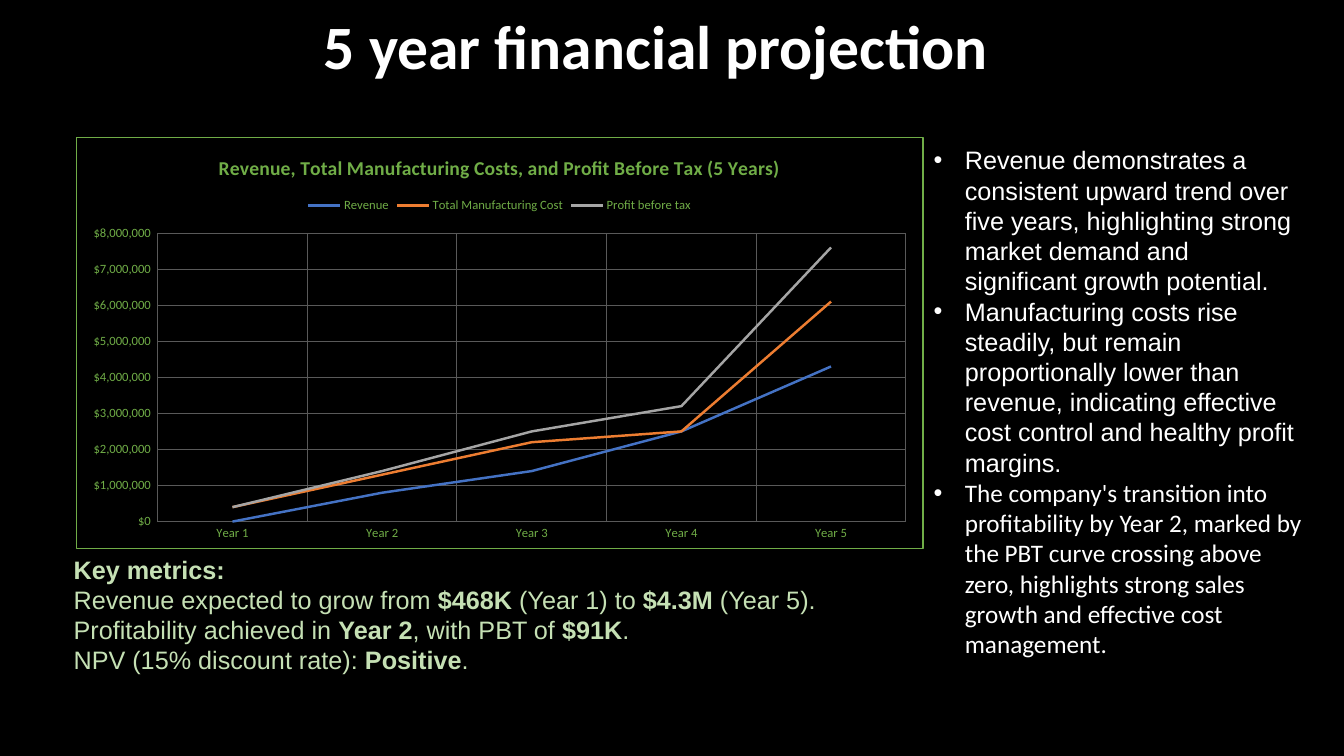
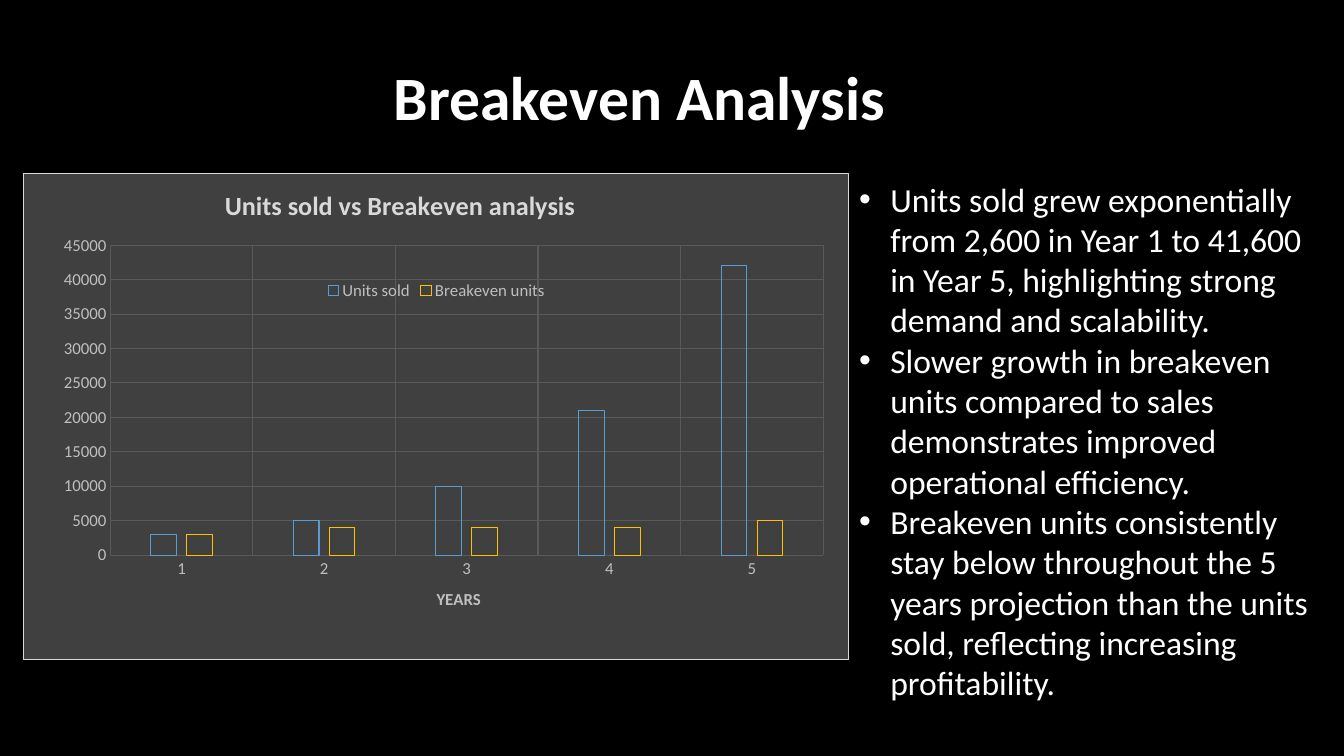
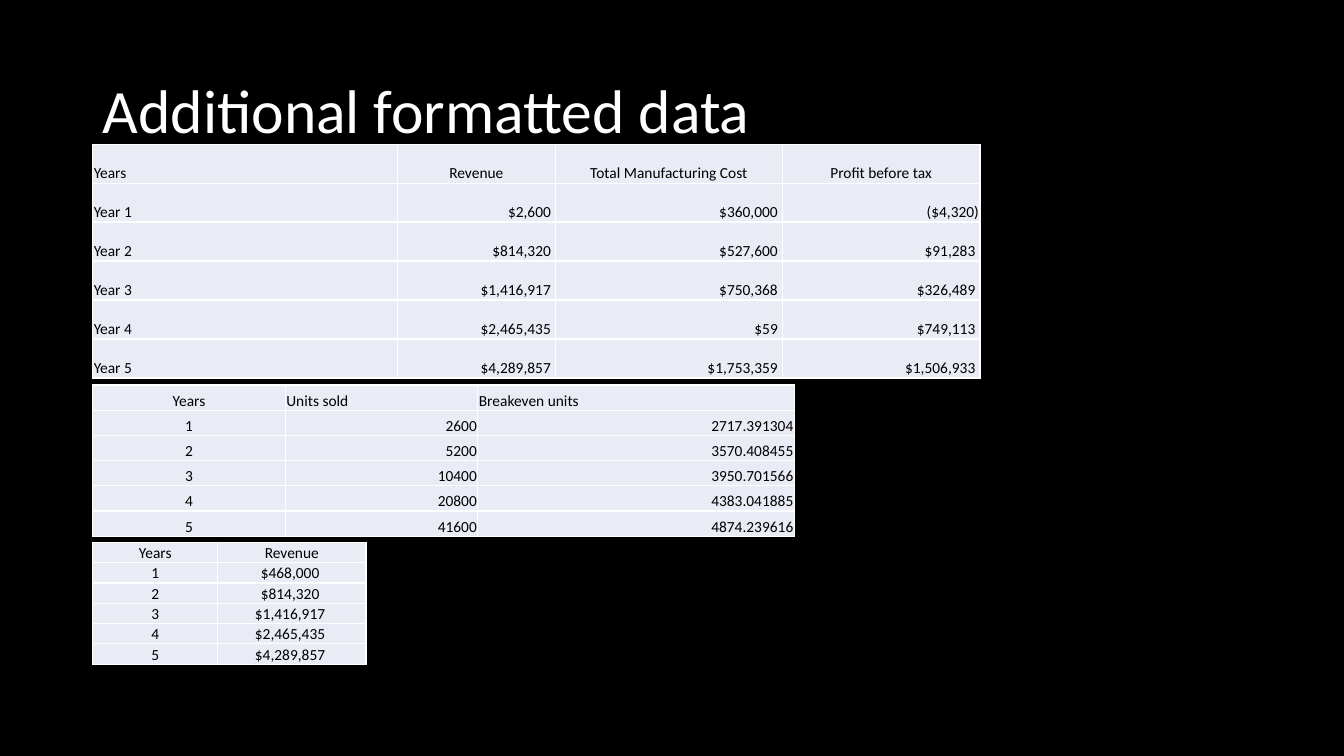
from lxml.etree import SubElement
from pptx import Presentation
from pptx.chart.data import CategoryChartData
from pptx.dml.color import RGBColor
from pptx.enum.chart import (XL_CHART_TYPE as Kind, XL_LEGEND_POSITION as Legend,
                             XL_MARKER_STYLE as Marker, XL_TICK_MARK as Tick)
from pptx.enum.text import MSO_ANCHOR as Anchor, MSO_AUTO_SIZE as Auto, PP_ALIGN as Align
from pptx.oxml import parse_xml
from pptx.oxml.ns import nsdecls, qn
from pptx.util import Inches, Pt

WHITE, BLACK, GREEN, MINT = "FFFFFF", "000000", "70AD47", "C5E0B4"
GRID, PANEL, PALE, SOFT, CELL = "595959", "404040", "D9D9D9", "BFBFBF", "E9EBF5"
SIDES = {"l": Align.LEFT, "c": Align.CENTER, "r": Align.RIGHT}

YEARS = ["1", "2", "3", "4", "5"]
NAMES = [f"Year {y}" for y in YEARS]
SALES = [2600, 814320, 1416917, 2465435, 4289857]
COSTS = [360000, 527600, 750368, 59, 1753359]
PROFIT = [-4320, 91283, 326489, 749113, 1506933]
UNITS = [2600, 5200, 10400, 20800, 41600]
EVEN = [2717.391304, 3570.408455, 3950.701566, 4383.041885, 4874.239616]

# Each paragraph is a list of (text, bold) runs.
METRICS = [
    [("Key metrics:", True)],
    [("Revenue expected to grow from ", False), ("$468K", True),
     (" (Year 1) to ", False), ("$4.3M", True), (" (Year 5).", False)],
    [("Profitability achieved in ", False), ("Year 2", True),
     (", with PBT of ", False), ("$91K", True), (".", False)],
    [("NPV (15% discount rate): ", False), ("Positive", True), (".", False)],
]
# Each point is (text, font).
TRENDS = [
    ("Revenue demonstrates a consistent upward trend over five years, highlighting "
     "strong market demand and significant growth potential.", "Arial"),
    ("Manufacturing costs rise steadily, but remain proportionally lower than revenue, "
     "indicating effective cost control and healthy profit margins.", "Arial"),
    ("The company's transition into profitability by Year 2, marked by the PBT curve "
     "crossing above zero, highlights strong sales growth and effective cost "
     "management.", "Calibri"),
]
BREAKS = [
    ("Units sold grew exponentially from 2,600 in Year 1 to 41,600 in Year 5, "
     "highlighting strong demand and scalability.", "Calibri"),
    ("Slower growth in breakeven units compared to sales demonstrates improved "
     "operational efficiency.", "Calibri"),
    ("Breakeven units consistently stay below throughout the 5 years projection than "
     "the units sold, reflecting increasing profitability.", "Calibri"),
]


def money(n):
    return f"${n:,} " if n >= 0 else f"(${-n:,})"


def rows(*cols):
    return list(zip(*cols))


TABLES = [
    dict(top=1.43, cols=[3.02, 1.57, 2.25, 1.96], high=2.32, head="lccc", body="lrrr",
         rows=[("Years", "Revenue", "Total Manufacturing Cost", "Profit before tax")]
         + rows(NAMES, *[map(money, c) for c in (SALES, COSTS, PROFIT)])),
    dict(top=3.82, cols=[1.91, 1.91, 3.14], high=1.5, head="cll", body="crr",
         rows=[("Years", "Units sold", "Breakeven units")]
         + rows(YEARS, map(str, UNITS), map(str, EVEN))),
    dict(top=5.38, cols=[1.24, 1.47], high=1.21, head="cc", body="cc",
         rows=[("Years", "Revenue")] + rows(YEARS, map(money, [468000] + SALES[1:]))),
]


def rgb(code):
    return RGBColor.from_string(code)


def style(font, size, color, bold=False, face="Calibri"):
    font.name, font.size, font.bold = face, Pt(size), bold
    font.color.rgb = rgb(color)


def move(shape, *at):
    shape.left, shape.top, shape.width, shape.height = map(Inches, at)


def add_slide(prs, layout, title, left, top, bold=True, shift=None):
    """Add a slide; a shift centres the title and moves it by a left inset."""
    slide = prs.slides.add_slide(prs.slide_layouts[layout])
    shape = slide.shapes.title
    move(shape, left, top, 11.5, 1.45)
    frame = shape.text_frame
    frame.auto_size, frame.vertical_anchor = Auto.NONE, Anchor.MIDDLE
    if shift:
        frame.margin_left = Inches(0.1 + shift)
    para = frame.paragraphs[0]
    para.alignment = Align.CENTER if shift else Align.LEFT
    para.line_spacing = 0.9
    run = para.add_run()
    run.text = title
    style(run.font, 44, WHITE, bold)
    return slide


def fill_body(shape, at, paras, size, color, anchor, bullets):
    """Write paragraphs of (text, bold, font) runs in a body placeholder."""
    move(shape, *at)
    frame = shape.text_frame
    frame.word_wrap, frame.vertical_anchor = True, anchor
    frame.auto_size = Auto.SHAPE_TO_FIT_TEXT
    for i, runs in enumerate(paras):
        para = frame.add_paragraph() if i else frame.paragraphs[0]
        para.space_before, para.line_spacing = Pt(0), 1.0
        props = para._p.get_or_add_pPr()
        hang = Inches(0.31) if bullets else 0
        props.set("marL", str(hang))
        props.set("indent", str(-hang))
        if bullets:
            SubElement(props, qn("a:buFont"), typeface="Arial")
            SubElement(props, qn("a:buChar"), char="•")
        else:
            SubElement(props, qn("a:buNone"))
        for text, bold, face in runs:
            run = para.add_run()
            run.text = text
            style(run.font, size, color, bold, face)


def add_list(shape, at, points, size, anchor):
    paras = [[(text, False, face)] for text, face in points]
    fill_body(shape, at, paras, size, WHITE, anchor, True)


def place(part, index, at, x, y, w=None, h=None):
    """Lay out a part of the chart at the given box, in inches from its corner."""
    for old in part.findall(qn("c:layout")):
        part.remove(old)
    tags = '<c:layoutTarget val="inner"/>' if w else ""
    tags += '<c:xMode val="edge"/><c:yMode val="edge"/>'
    for tag, val, full in zip("xywh", (x, y, w, h), at[2:] * 2):
        if val:
            tags += f'<c:{tag} val="{val / full:.4f}"/>'
    part.insert(index, parse_xml(
        f'<c:layout {nsdecls("c")}><c:manualLayout>{tags}</c:manualLayout></c:layout>'))


def write(title, text, size, color):
    run = title.text_frame.paragraphs[0].add_run()
    run.text = text
    style(run.font, size, color, True)


def add_chart(slide, kind, at, cats, series, digits, title, size, label, text, head,
              back, edge, plot):
    data = CategoryChartData()
    data.categories = cats
    for name, vals, _ in series:
        data.add_series(name, [int(round(v, digits)) for v in vals])
    chart = slide.shapes.add_chart(kind, *map(Inches, at), data).chart
    style(chart.font, 10, text)
    fill = f'<a:solidFill><a:srgbClr val="{back}"/></a:solidFill>'
    line = f'<a:ln w="9525"><a:solidFill><a:srgbClr val="{edge}"/></a:solidFill></a:ln>'
    chart._chartSpace.find(qn("c:txPr")).addprevious(parse_xml(
        f'<c:spPr {nsdecls("c", "a")}>{fill}{line}</c:spPr>'))
    chart.has_title = True
    write(chart.chart_title, title, size, head)
    chart.has_legend = True
    chart.legend.position = Legend.TOP
    chart.legend.include_in_layout = False
    style(chart.legend.font, label, text)
    for axis in (chart.category_axis, chart.value_axis):
        axis.major_tick_mark = axis.minor_tick_mark = Tick.NONE
        axis.has_major_gridlines = True
        grid = axis.major_gridlines.format.line
        grid.color.rgb, grid.width = rgb(GRID), Pt(0.75)
        axis.format.line.fill.background()
        style(axis.tick_labels.font, label, text)
    chart.plots[0].vary_by_categories = False
    for item, (_, _, color) in zip(chart.plots[0].series, series):
        item.format.line.color.rgb = rgb(color)
    place(chart._chartSpace.chart.plotArea, 0, at, *plot)
    return chart


def add_table(slide, top, cols, high, head, body, rows):
    shape = slide.shapes.add_table(len(rows), len(cols), Inches(0.92), Inches(top),
                                   Inches(sum(cols)), Inches(high))
    table = shape.table
    table.first_row = table.horz_banding = False
    for col, wide in zip(table.columns, cols):
        col.width = Inches(wide)
    for r, row in enumerate(rows):
        for c, text in enumerate(row):
            cell = table.cell(r, c)
            cell.margin_left = cell.margin_right = cell.margin_top = Inches(0.01)
            cell.margin_bottom = 0
            cell.vertical_anchor = Anchor.BOTTOM
            para = cell.text_frame.paragraphs[0]
            para.alignment = SIDES[(body if r else head)[c]]
            run = para.add_run()
            run.text = text
            style(run.font, 11, BLACK)
            props = cell._tc.get_or_add_tcPr()
            for side in ("lnL", "lnR", "lnT", "lnB"):
                line = SubElement(props, qn(f"a:{side}"), w=str(Pt(1)))
                SubElement(SubElement(line, qn("a:solidFill")), qn("a:srgbClr"), val=WHITE)
            cell.fill.solid()
            cell.fill.fore_color.rgb = rgb(CELL)


def add_projection(prs):
    slide = add_slide(prs, 3, "5 year financial projection", 0.63, -0.23, shift=0.26)
    paras = [[(text, bold, "Arial") for text, bold in runs] for runs in METRICS]
    fill_body(slide.placeholders[1], (0.63, 5.44, 8.34, 1.31), paras, 18, MINT,
              Anchor.MIDDLE, False)
    chart = add_chart(
        slide, Kind.LINE_STACKED, (0.75, 1.36, 8.41, 4.09), NAMES,
        [("Revenue", SALES, "4472C4"), ("Total Manufacturing Cost", COSTS, "ED7D31"),
         ("Profit before tax", PROFIT, "A5A5A5")], -5,
        "Revenue, Total Manufacturing Costs, and Profit Before Tax (5 Years)",
        14, 9, GREEN, GREEN, BLACK, GREEN, (0.81, 0.95, 7.43, 2.87))
    labels = chart.value_axis.tick_labels
    labels.number_format = '"$"#,##0_);[Red]\\("$"#,##0\\)'
    labels.number_format_is_linked = False
    for line in chart.plots[0].series:
        line.smooth = False
        line.marker.style = Marker.NONE
        line.format.line.width = Pt(1.75)
    add_list(slide.placeholders[2], (9.16, 1.36, 3.88, 5.25), TRENDS, 18, Anchor.MIDDLE)


def add_breakeven(prs):
    slide = add_slide(prs, 1, "Breakeven Analysis", 0.53, 0.27, shift=0.13)
    at = (0.23, 1.72, 8.19, 4.83)
    chart = add_chart(
        slide, Kind.COLUMN_CLUSTERED, at, YEARS,
        [("Units sold", UNITS, "5B9BD5"), ("Breakeven units", EVEN, "FFC000")], -3,
        "Units sold vs Breakeven analysis", 18.7, 12, SOFT, PALE, PANEL, PALE,
        (0.86, 0.71, 7.08, 3.08))
    axis = chart.category_axis
    axis.has_title = True
    write(axis.axis_title, "YEARS", 12, SOFT)
    place(axis.axis_title._element, 1, at, 4.07, 4.08)
    place(chart.chart_title._element, 1, at, 1.95, 0.09)
    place(chart.legend._element, 1, at, 2.97, 1.02)
    bars = chart.plots[0]
    bars.gap_width, bars.overlap = 315, -40
    for bar in bars.series:
        bar.invert_if_negative = False
        bar.format.fill.background()
        bar.format.line.width = Pt(0.75)
    add_list(slide.placeholders[1], (8.42, 1.72, 4.87, 5.35), BREAKS, 24, Anchor.TOP)


def add_data(prs):
    slide = add_slide(prs, 5, "Additional formatted data", 0.92, 0.4, bold=False)
    for table in TABLES:
        add_table(slide, **table)


def main():
    prs = Presentation()
    prs.slide_width, prs.slide_height = Inches(13.33), Inches(7.5)
    back = prs.slide_master.background.fill
    back.solid()
    back.fore_color.rgb = rgb(BLACK)
    add_projection(prs)
    add_breakeven(prs)
    add_data(prs)
    prs.save("out.pptx")


if __name__ == "__main__":
    main()
